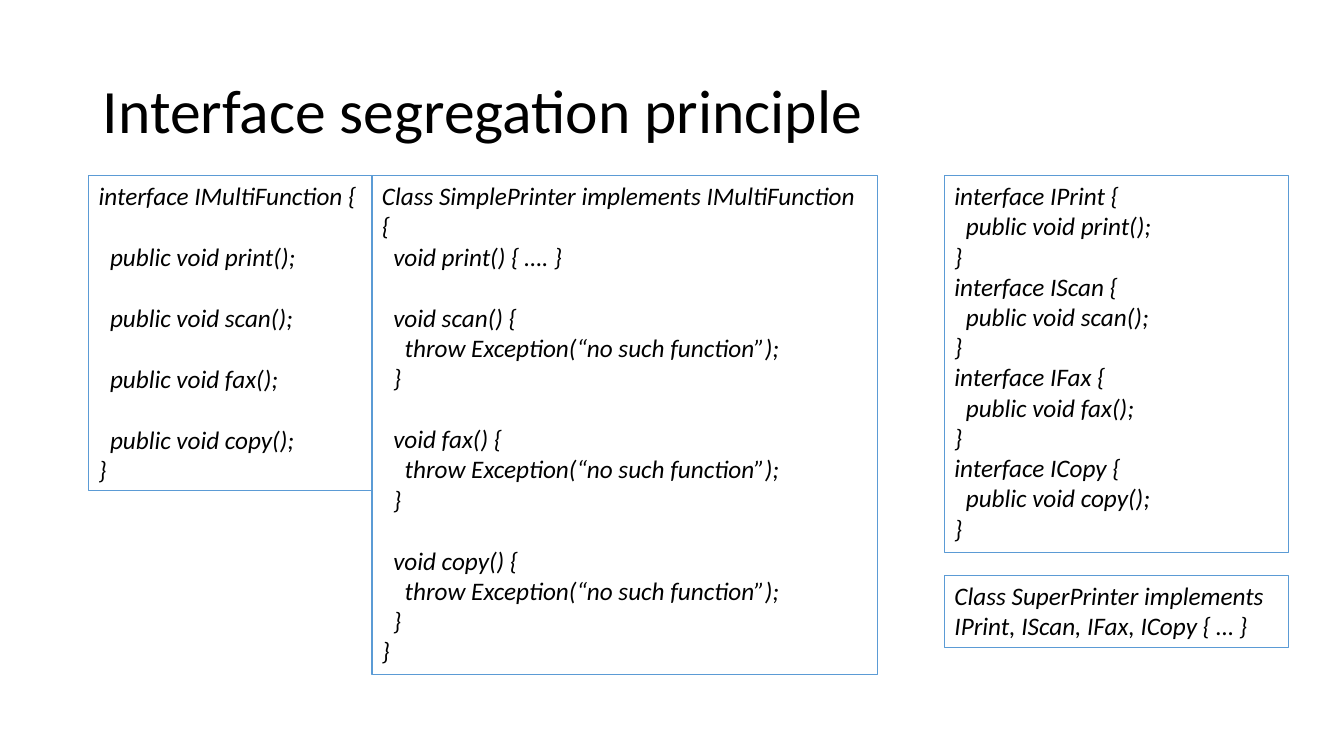
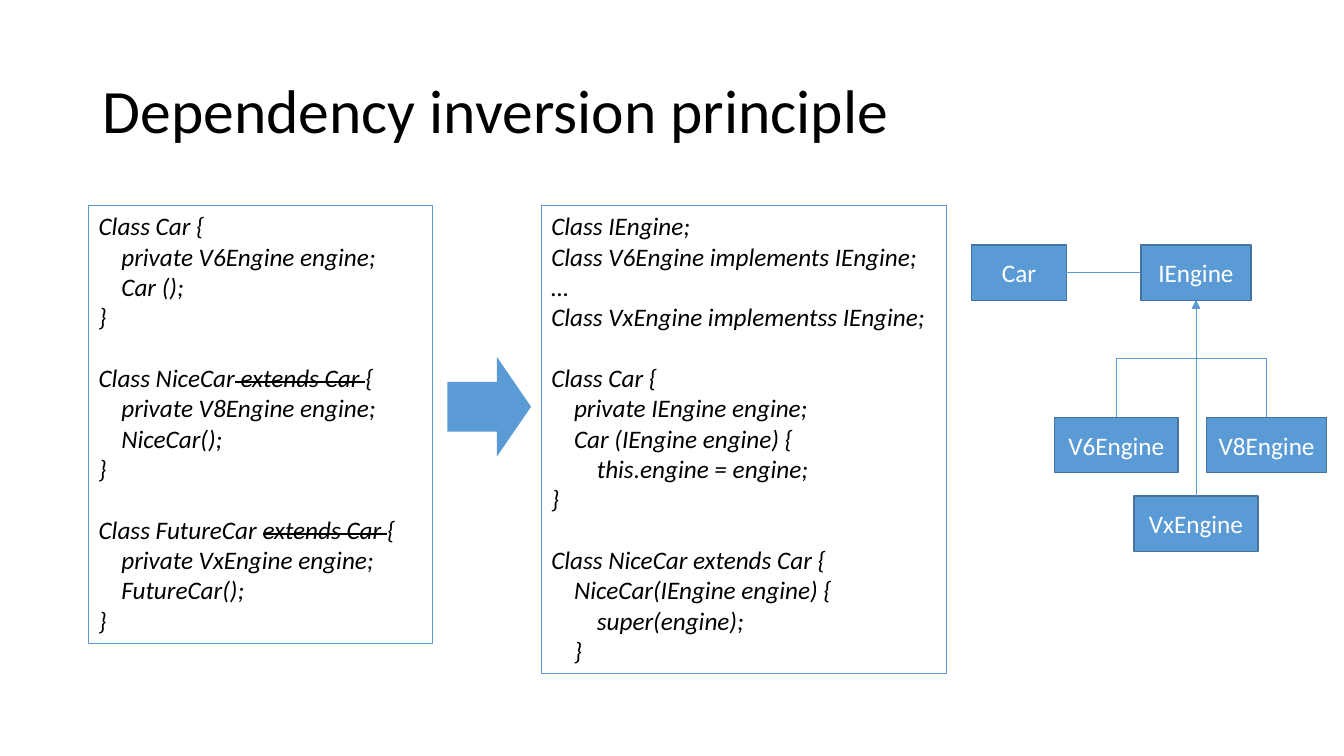
import dataclasses
import typing

import lxml.etree
import pptx
import pptx.dml.color
import pptx.enum.shapes
import pptx.enum.text
import pptx.oxml.ns
import pptx.util

Pt = pptx.util.Pt
RGB = pptx.dml.color.RGBColor
Align = pptx.enum.text.PP_ALIGN
Anchor = pptx.enum.text.MSO_ANCHOR
Size = pptx.enum.text.MSO_AUTO_SIZE
Kind = pptx.enum.shapes.MSO_SHAPE
Link = pptx.enum.shapes.MSO_CONNECTOR
qn = pptx.oxml.ns.qn

WIDE = pptx.util.Inches(13.333)
HIGH = pptx.util.Inches(7.5)


@dataclasses.dataclass(frozen=True)
class Theme:
    ink: RGB = RGB(0x00, 0x00, 0x00)
    pale: RGB = RGB(0xFF, 0xFF, 0xFF)
    blue: RGB = RGB(0x5B, 0x9B, 0xD5)
    edge: RGB = RGB(0x43, 0x73, 0x9E)
    face: str = "Calibri"
    head: Pt = Pt(44)
    body: Pt = Pt(18)
    row: Pt = Pt(22)       # height of one line of code
    space: Pt = Pt(4.07)   # width of one column of code indent
    frame: Pt = Pt(0.75)
    rim: Pt = Pt(1)
    wire: Pt = Pt(0.5)


LOOK = Theme()


class Box(typing.NamedTuple):
    """Place and size in percent of the slide."""
    x: float
    y: float
    w: float
    h: float

    def emu(self) -> tuple[int, ...]:
        spans = (WIDE, HIGH, WIDE, HIGH)
        return tuple(round(v * s / 100) for v, s in zip(self, spans))


@dataclasses.dataclass(frozen=True)
class Code:
    box: Box
    text: str


@dataclasses.dataclass(frozen=True)
class Node:
    name: str
    box: Box


# Listings: a blank line is a gap, ~marks~ enclose struck words
TITLE = Box(6.9, 5.33, 86.25, 19.33)
SPLIT = [
    Code(Box(6.6, 23.2, 21.08, 41.73), """\
interface IMultiFunction {

  public void print();

  public void scan();

  public void fax();

  public void copy();
}"""),
    Code(Box(27.68, 23.2, 37.58, 66), """\
Class SimplePrinter implements IMultiFunction {
  void print() { …. }

  void scan() {
    throw Exception(“no such function”);
  }

  void fax() {
    throw Exception(“no such function”);
  }

  void copy() {
    throw Exception(“no such function”);
  }
}"""),
    Code(Box(70.28, 23.2, 25.58, 49.87), """\
interface IPrint {
  public void print();
}
interface IScan {
  public void scan();
}
interface IFax {
  public void fax();
}
interface ICopy {
  public void copy();
}"""),
    Code(Box(70.28, 76.13, 25.58, 9.47),
         "Class SuperPrinter implements IPrint, IScan, IFax, ICopy { … }"),
]
TURN = [
    Code(Box(6.6, 27.2, 25.58, 57.87), """\
Class Car {
    private V6Engine engine;
    Car ();
}

Class NiceCar~ extends Car ~{
    private V8Engine engine;
    NiceCar();
}

Class FutureCar ~extends Car ~{
    private VxEngine engine;
    FutureCar();
}"""),
    Code(Box(40.28, 27.2, 30.15, 61.87), """\
Class IEngine;
Class V6Engine implements IEngine;
…
Class VxEngine implementss IEngine;

Class Car {
    private IEngine engine;
    Car (IEngine engine) {
        this.engine = engine;
}

Class NiceCar extends Car {
    NiceCar(IEngine engine) {
        super(engine);
    }"""),
]
ARROW = Box(33.3, 47.2, 6.22, 13.2)
NODES = [
    Node("Car", Box(72.3, 32.4, 7.05, 7.33)),
    Node("IEngine", Box(84.9, 32.4, 8.18, 7.33)),
    Node("V6Engine", Box(78.45, 55.2, 9.22, 7.33)),
    Node("V8Engine", Box(89.78, 55.2, 8.92, 7.33)),
    Node("VxEngine", Box(84.38, 65.6, 9.22, 7.33)),
]


def put(thing: typing.Any, form: dict[str, typing.Any]) -> None:
    for key, val in form.items():
        setattr(thing, key, val)


def ink(font: typing.Any, tint: RGB, **more: typing.Any) -> None:
    put(font, {"name": LOOK.face, "size": LOOK.body, **more})
    font.color.rgb = tint


def stroke(line: typing.Any, tint: RGB, width: int) -> None:
    line.color.rgb = tint
    line.width = width


def start(deck: typing.Any, title: str) -> typing.Any:
    """Add a title-only slide with the shared title style."""
    slide = deck.slides.add_slide(deck.slide_layouts[5])
    head = slide.shapes.title
    put(head, dict(zip(("left", "top", "width", "height"), TITLE.emu())))
    head.text_frame.text = title
    put(head.text_frame, {"vertical_anchor": Anchor.MIDDLE, "word_wrap": True})
    par = head.text_frame.paragraphs[0]
    put(par, {"alignment": Align.LEFT, "line_spacing": 0.9})
    ink(par.runs[0].font, LOOK.ink, size=LOOK.head)
    return slide


def block(slide: typing.Any, box: Box, kind: Kind = Kind.RECTANGLE) -> typing.Any:
    shape = slide.shapes.add_shape(kind, *box.emu())
    shape.shadow.inherit = False
    return shape


def draw_code(slide: typing.Any, code: Code) -> None:
    """Frame a listing, with indents and gaps set on its paragraphs."""
    shape = block(slide, code.box)
    shape.fill.background()
    stroke(shape.line, LOOK.blue, LOOK.frame)
    frame = shape.text_frame
    put(frame, {"word_wrap": True, "vertical_anchor": Anchor.TOP,
                "auto_size": Size.SHAPE_TO_FIT_TEXT})
    par, gap = frame.paragraphs[0], False
    for num, line in enumerate(code.text.split("\n")):
        if not line:
            gap = True
            continue
        if num:
            par = frame.add_paragraph()
        put(par, {"alignment": Align.LEFT,
                  "space_before": LOOK.row if gap else Pt(0)})
        gap = False
        bare = line.lstrip()
        inset = (len(line) - len(bare)) * LOOK.space
        par._p.get_or_add_pPr().set("marL", str(inset))
        for part, text in enumerate(bare.split("~")):
            run = par.add_run()
            run.text = text
            ink(run.font, LOOK.ink, italic=True)
            if part % 2:
                run._r.get_or_add_rPr().set("strike", "sngStrike")


def draw_node(slide: typing.Any, node: Node) -> typing.Any:
    shape = block(slide, node.box)
    shape.fill.solid()
    shape.fill.fore_color.rgb = LOOK.blue
    stroke(shape.line, LOOK.edge, LOOK.rim)
    frame = shape.text_frame
    frame.text = node.name
    put(frame, {"word_wrap": True, "vertical_anchor": Anchor.MIDDLE})
    frame.paragraphs[0].alignment = Align.CENTER
    ink(frame.paragraphs[0].runs[0].font, LOOK.pale)
    return shape


def dress(wire: typing.Any, tip: bool) -> None:
    """Style a connector, with a triangle tip if asked."""
    stroke(wire.line, LOOK.blue, LOOK.wire)
    props = wire._element.spPr
    if tip:
        lxml.etree.SubElement(props.find(qn("a:ln")), qn("a:tailEnd"), type="triangle")
    lxml.etree.SubElement(props, qn("a:effectLst"))


def join(slide: typing.Any, src: typing.Any, out: int,
         goal: typing.Any, side: int, tip: bool = False) -> None:
    wire = slide.shapes.add_connector(Link.STRAIGHT, 0, 0, 0, 0)
    wire.begin_connect(src, out)
    wire.end_connect(goal, side)
    dress(wire, tip)


def bend(slide: typing.Any, src: typing.Any, goal: typing.Any) -> None:
    """Elbow from the top of src up to the bottom of goal, as a turned box."""
    x1, y1 = src.left + src.width // 2, src.top
    x2, y2 = goal.left + goal.width // 2, goal.top + goal.height
    mid, row = (x1 + x2) // 2, (y1 + y2) // 2
    left = x1 < x2
    half = (y1 - y2) // 2 * (1 if left else -1)
    rise = abs(x2 - x1) // 2
    wire = slide.shapes.add_connector(
        Link.ELBOW, mid + half, row + rise, mid - half, row - rise)
    angle = 90 if left else 270
    wire._element.spPr.find(qn("a:xfrm")).set("rot", str(angle * 60000))
    dress(wire, True)


def main() -> None:
    deck = pptx.Presentation()
    put(deck, {"slide_width": WIDE, "slide_height": HIGH})

    # One wide interface against four narrow ones
    slide = start(deck, "Interface segregation principle")
    for code in SPLIT:
        draw_code(slide, code)

    # Listings before and after
    slide = start(deck, "Dependency inversion principle")
    for code in TURN:
        draw_code(slide, code)
    arrow = block(slide, ARROW, Kind.RIGHT_ARROW)
    arrow.adjustments[0], arrow.adjustments[1] = 0.5, 0.41
    arrow.fill.solid()
    arrow.fill.fore_color.rgb = LOOK.blue
    arrow.line.fill.background()

    # Class diagram
    car, base, six, eight, next_one = [draw_node(slide, n) for n in NODES]
    join(slide, car, 3, base, 1)
    for kid in (six, eight):
        bend(slide, kid, base)
    join(slide, next_one, 0, base, 2, tip=True)

    deck.save("out.pptx")


if __name__ == "__main__":
    main()
